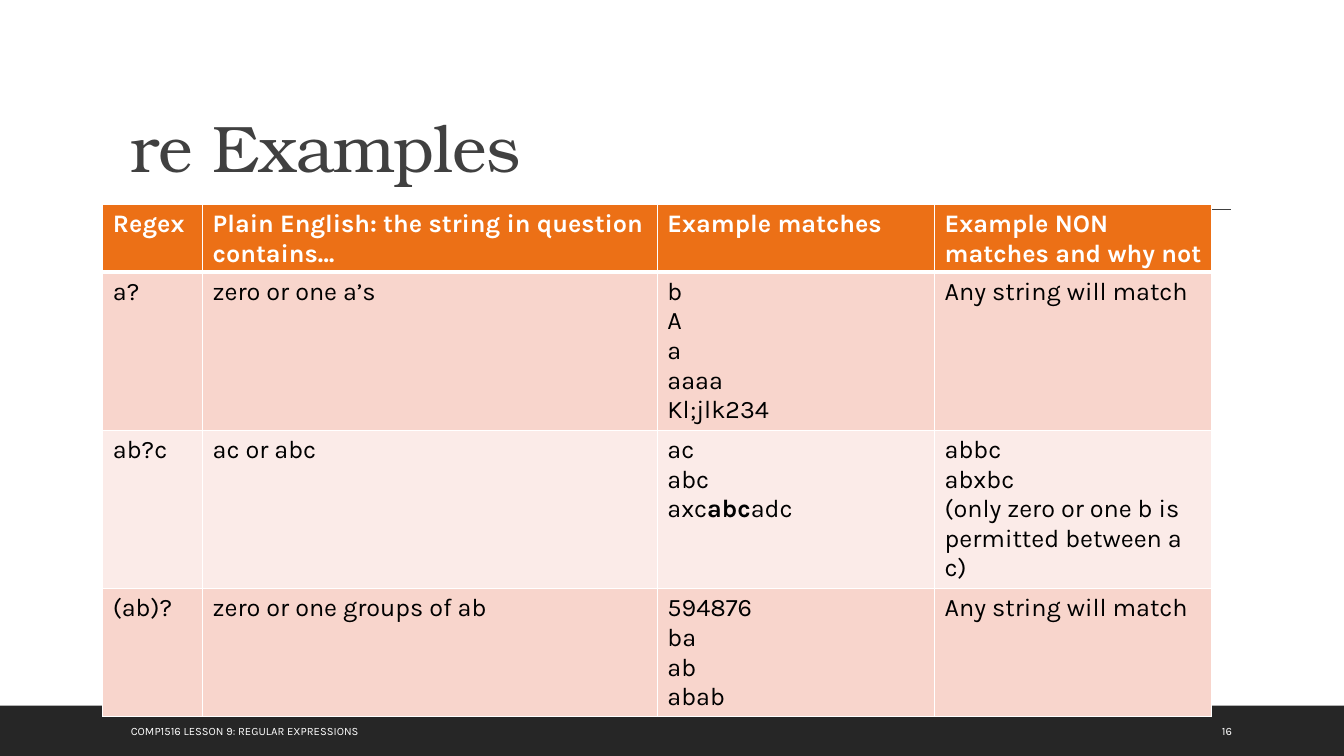
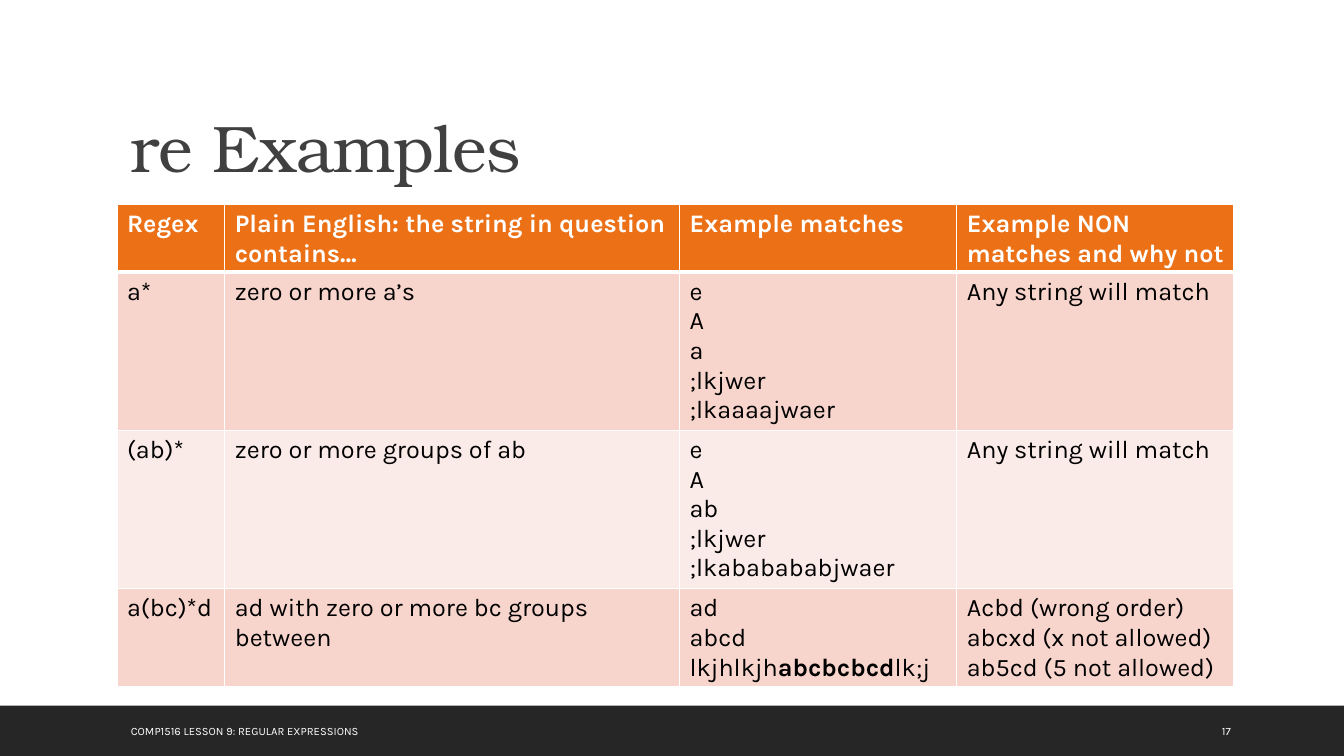
from lxml import etree
from pptx import Presentation
from pptx.dml.color import RGBColor
from pptx.enum.shapes import MSO_CONNECTOR, MSO_SHAPE
from pptx.enum.text import MSO_ANCHOR
from pptx.oxml.ns import qn
from pptx.util import Inches, Pt

RECTANGLE = MSO_SHAPE.RECTANGLE
STRAIGHT = MSO_CONNECTOR.STRAIGHT
MIDDLE, BOTTOM = MSO_ANCHOR.MIDDLE, MSO_ANCHOR.BOTTOM


class Theme:
    white = RGBColor.from_string("FFFFFF")
    black = RGBColor.from_string("000000")
    grey = RGBColor.from_string("404040")
    band = RGBColor.from_string("262626")
    header = RGBColor.from_string("EC7016")
    rows = [RGBColor.from_string("F8D5CC"), RGBColor.from_string("FBEBE8")]
    title_font, body_font = "TeX Gyre Bonum", "Karla"
    title_size, table_size, footer_size = Pt(47), Pt(18), Pt(8)
    thin, thick = Pt(1), Pt(3)


TITLE = "re Examples"
FOOTER = "COMP1516 LESSON 9: REGULAR EXPRESSIONS"
HEADINGS = [
    "Regex",
    "Plain English: the string in question contains…",
    "Example matches",
    "Example NON matches and why not",
]
ANY_STRING = "Any string will match"
ROW_HEIGHT = 0.41
CELL_BOTTOM_MARGIN = 0.02
SHARED_WIDTHS = [4.51, 2.75, 2.75]
BOLD_MARK = "|"

PAGES = [
    {
        "number": "16",
        "left": 1.02,
        "regex_width": 0.99,
        "examples": [
            ["a?", "zero or one a’s", "b\nA\na\naaaa\nKl;jlk234", ANY_STRING],
            ["ab?c", "ac or abc", "ac\nabc\naxc|abc|adc",
             "abbc\nabxbc\n(only zero or one b is permitted between a c)"],
            ["(ab)?", "zero or one groups of ab", "594876\nba\nab\nabab", ANY_STRING],
        ],
    },
    {
        "number": "17",
        "left": 1.16,
        "regex_width": 1.07,
        "examples": [
            ["a*", "zero or more a’s", "e\nA\na\n;lkjwer\n;lkaaaajwaer", ANY_STRING],
            ["(ab)*", "zero or more groups of ab",
             "e\nA\nab\n;lkjwer\n;lkababababjwaer", ANY_STRING],
            ["a(bc)*d", "ad with zero or more bc groups between",
             "ad\nabcd\nlkjhlkjh|abcbcbcd|lk;j",
             "Acbd (wrong order)\nabcxd (x not allowed)\nab5cd (5 not allowed)"],
        ],
    },
]


def write(frame, text, font, size, color, bold=False):
    for index, line in enumerate(text.split("\n")):
        paragraph = frame.add_paragraph() if index else frame.paragraphs[0]
        for part, words in enumerate(line.split(BOLD_MARK)):
            run = paragraph.add_run()
            run.text = words
            run.font.name, run.font.size = font, size
            run.font.color.rgb = color
            run.font.bold = bold or part % 2 == 1


def set_border(cell, side, width):
    border = etree.SubElement(cell._tc.get_or_add_tcPr(), qn(f"a:ln{side}"), w=str(width))
    fill = etree.SubElement(border, qn("a:solidFill"))
    etree.SubElement(fill, qn("a:srgbClr"), val=str(Theme.white))


prs = Presentation()
prs.slide_width, prs.slide_height = Inches(13.33), Inches(7.5)

for page in PAGES:
    slide = prs.slides.add_slide(prs.slide_layouts[6])

    band = slide.shapes.add_shape(RECTANGLE, 0, Inches(7), prs.slide_width, Inches(0.5))
    band.shadow.inherit = False
    band.fill.solid()
    band.fill.fore_color.rgb = Theme.band
    band.line.fill.background()

    rule = slide.shapes.add_connector(
        STRAIGHT, Inches(1.31), Inches(2.08), Inches(12.21), Inches(2.08))
    rule.line.color.rgb = Theme.grey
    rule.line.width = Theme.thin
    etree.SubElement(rule._element.spPr, qn("a:effectLst"))

    title = slide.shapes.add_textbox(
        Inches(1.2), Inches(0.31), Inches(11), Inches(1.59)).text_frame
    title.word_wrap = True
    title.vertical_anchor = BOTTOM
    write(title, TITLE, Theme.title_font, Theme.title_size, Theme.grey)
    title.paragraphs[0].line_spacing = 0.9
    title.paragraphs[0].runs[0].font._element.set("spc", "-50")

    widths = [page["regex_width"], *SHARED_WIDTHS]
    records = [HEADINGS, *page["examples"]]
    examples = slide.shapes.add_table(
        len(records), len(widths), Inches(page["left"]), Inches(2.03),
        Inches(sum(widths)), Inches(ROW_HEIGHT * len(records))).table
    for column, width in zip(examples.columns, widths):
        column.width = Inches(width)
    for r, record in enumerate(records):
        examples.rows[r].height = Inches(ROW_HEIGHT)
        is_header = r == 0
        for c, text in enumerate(record):
            cell = examples.cell(r, c)
            cell.margin_bottom = Inches(CELL_BOTTOM_MARGIN)
            for side in "LRTB":
                under_header = (r, side) in [(0, "B"), (1, "T")]
                set_border(cell, side, Theme.thick if under_header else Theme.thin)
            cell.fill.solid()
            cell.fill.fore_color.rgb = Theme.header if is_header else Theme.rows[(r - 1) % 2]
            write(cell.text_frame, text, Theme.body_font, Theme.table_size,
                  Theme.white if is_header else Theme.black, is_header)

    for left, width, text in [(1.2, 7.46, FOOTER), (12.02, 0.85, page["number"])]:
        footer = slide.shapes.add_textbox(
            Inches(left), Inches(7.05), Inches(width), Inches(0.4)).text_frame
        footer.word_wrap = True
        footer.vertical_anchor = MIDDLE
        write(footer, text, Theme.body_font, Theme.footer_size, Theme.white)

prs.save("out.pptx")
